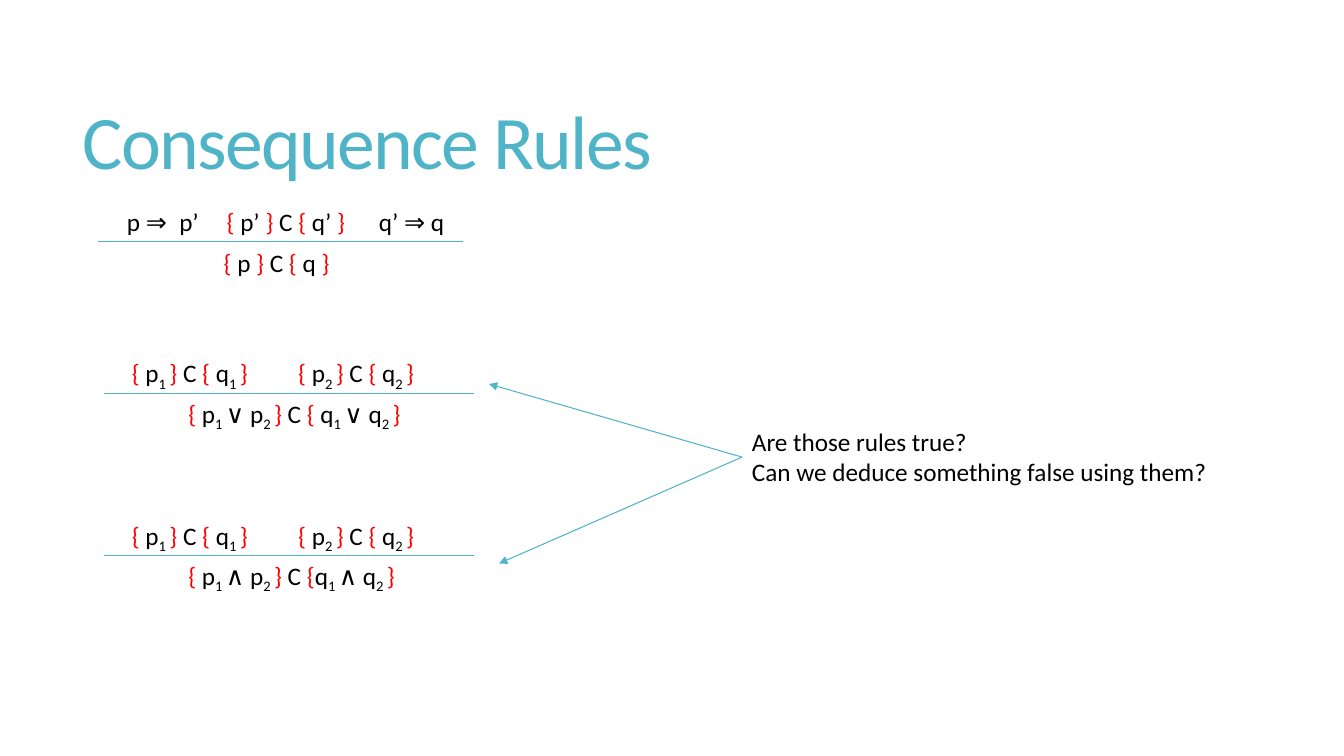
from itertools import groupby

from lxml import etree
from pptx import Presentation
from pptx.dml.color import RGBColor
from pptx.enum import shapes, text
from pptx.oxml import ns
from pptx.util import Inches, Pt

COLORS = {"teal": "50B4C8", "red": "FF0000", "black": "000000"}
FONT = "Calibri"
PAIR = "{ p1 } C { q1 }\t{ p2 } C { q2 }"
RULES = [
    (0.97, 2.4, 3.62, (1.16, 3.5, "p ⇒\tp’\t{ p’ } C { q’ }\tq’ ⇒ q", [0.52, 0.99, 2.5]),
     (2.12, 1.35, "{ p } C { q }")),
    (1.03, 3.9, 3.67, (1.21, 3.2, PAIR, [1.65]),
     (1.77, 2.43, "{ p1 ∨ p2 } C { q1 ∨ q2 }")),
    (1.03, 5.51, 3.67, (1.21, 3.2, PAIR, [1.65]),
     (1.77, 2.43, "{ p1 ∧ p2 } C {q1 ∧ q2 }")),
]


def style(font, size, color):
    font.name = FONT
    font.size = Pt(size)
    font.color.rgb = RGBColor.from_string(COLORS[color])


def add_text(home, left, top, width, height, words="", size=18, color="black"):
    box = home.add_textbox(Inches(left), Inches(top), Inches(width), Inches(height))
    frame = box.text_frame
    frame.word_wrap = True
    frame.text = words
    for para in frame.paragraphs:
        for run in para.runs:
            style(run.font, size, color)
    return box


def add_line(home, start, end, arrow=False):
    ends = [Inches(n) for n in (*start, *end)]
    line = home.add_connector(shapes.MSO_CONNECTOR.STRAIGHT, *ends)
    line.line.color.rgb = RGBColor.from_string(COLORS["teal"])
    line.line.width = Pt(0.75)
    if arrow:
        etree.SubElement(line.line._get_or_add_ln(), ns.qn("a:tailEnd"), type="triangle")
    etree.SubElement(line._element.spPr, ns.qn("a:effectLst"))
    return line


def split_kinds(words):
    kind, marks = "plain", []
    for char in words:
        if not char.isspace():
            kind = "brace" if char in "{}" else "sub" if char.isdigit() else "plain"
        marks.append((kind, char))
    for kind, group in groupby(marks, key=lambda mark: mark[0]):
        yield kind, "".join(char for _, char in group)


def add_logic(home, left, top, width, words, stops=()):
    para = add_text(home, left, top, width, 0.4).text_frame.paragraphs[0]
    if stops:
        tabs = etree.SubElement(para._p.get_or_add_pPr(), ns.qn("a:tabLst"))
        for stop in stops:
            etree.SubElement(tabs, ns.qn("a:tab"), pos=str(Inches(stop)), algn="l")
    for kind, part in split_kinds(words):
        run = para.add_run()
        run.text = part
        style(run.font, 18, "red" if kind == "brace" else "black")
        if kind == "sub":
            run._r.get_or_add_rPr().set("baseline", "-25000")


def add_rule(slide, left, bar, width, above, below):
    home = slide.shapes.add_group_shape().shapes
    start, wide, words, stops = above
    add_logic(home, start, bar - 0.4, wide, words, stops)
    start, wide, words = below
    add_logic(home, start, bar, wide, words)
    add_line(home, (left, bar), (left + width, bar))


def add_title(slide, words):
    box = add_text(slide.shapes, 0.72, 0.55, 11.78, 1.81, words, 54, "teal")
    box.text_frame.vertical_anchor = text.MSO_ANCHOR.MIDDLE
    para = box.text_frame.paragraphs[0]
    para.line_spacing = 0.85
    para.runs[0]._r.get_or_add_rPr().set("spc", "-120")


def main():
    deck = Presentation()
    deck.slide_width, deck.slide_height = Inches(13.33), Inches(7.5)
    slide = deck.slides.add_slide(deck.slide_layouts[6])
    add_title(slide, "Consequence Rules")
    for rule in RULES:
        add_rule(slide, *rule)
    note = add_text(slide.shapes, 7.36, 4.18, 4.8, 0.71,
                    "Are those rules true?\nCan we deduce something false using them?")
    for end in ((4.85, 3.81), (4.95, 5.59)):
        add_line(slide.shapes, (7.36, 4.53), end, arrow=True).begin_connect(note, 1)
    deck.save("out.pptx")


if __name__ == "__main__":
    main()
